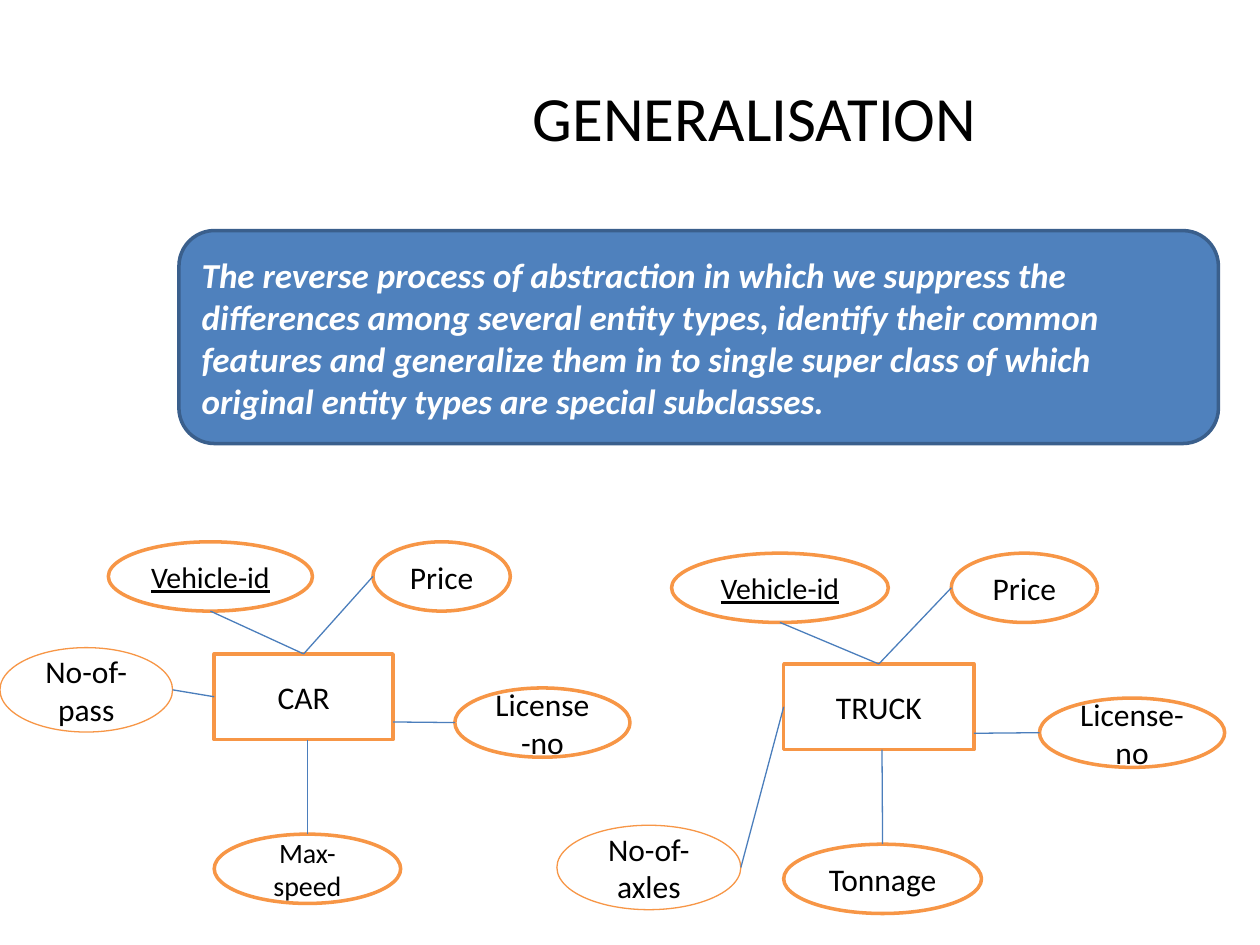
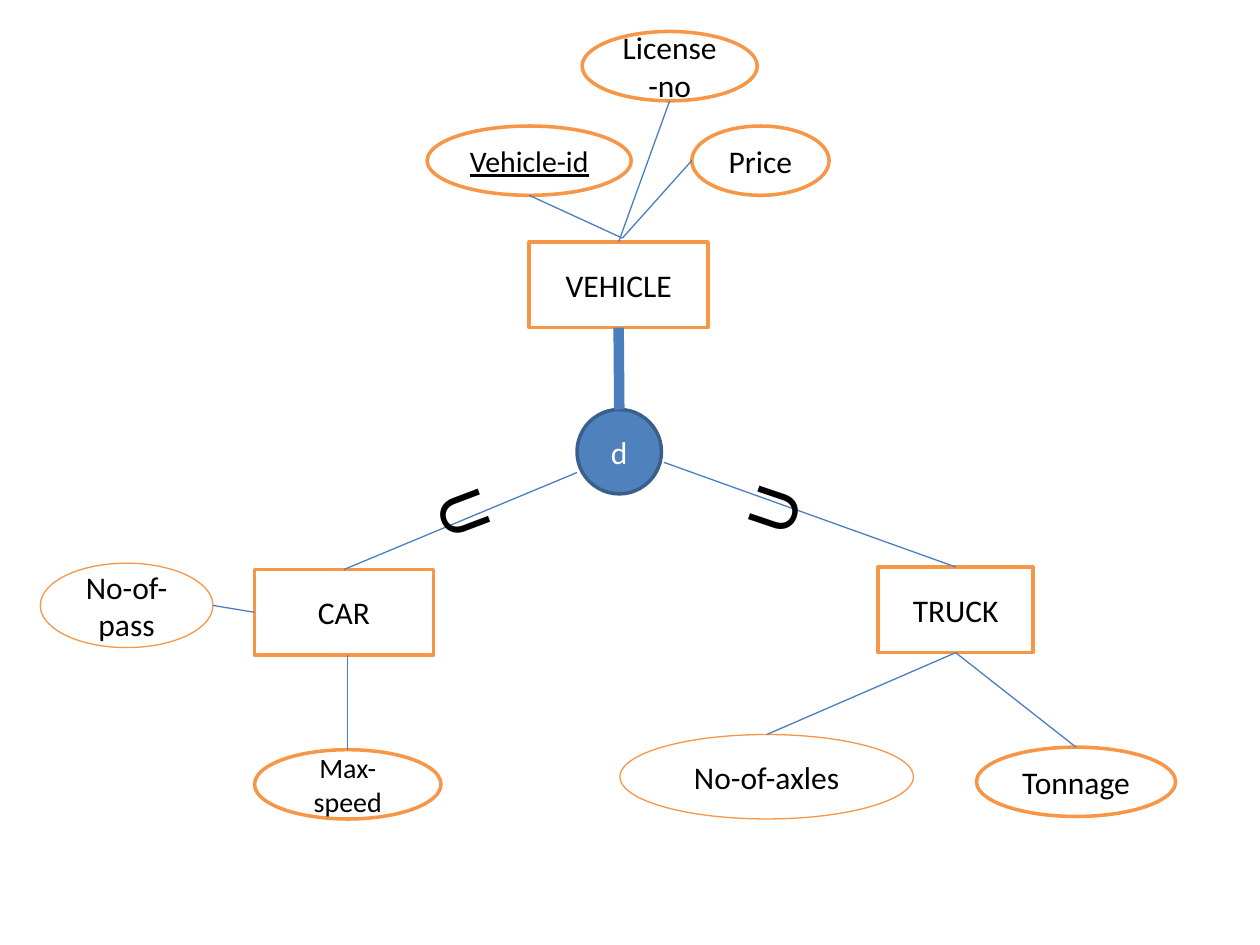
from dataclasses import dataclass, replace
from typing import Any

import pptx
import pptx.dml.color
import pptx.enum.shapes
import pptx.enum.text
import pptx.oxml
import pptx.oxml.ns
import pptx.util

Inches = pptx.util.Inches
Pt = pptx.util.Pt
Preset = pptx.enum.shapes.MSO_SHAPE
Align = pptx.enum.text.PP_ALIGN

# Shared look
FONT = "Calibri"
BLACK, WHITE = "000000", "FFFFFF"
ORANGE, BLUE, DARK_BLUE, LINK_BLUE = "F79646", "4F81BD", "3A5F8C", "4B7EBC"

# Connection sites of a rectangle
TOP, LEFT, BOTTOM, RIGHT = range(4)


@dataclass(frozen=True)
class Style:
    preset: Any
    fill: str | None
    line: str
    line_width: float
    text: str


ENTITY = Style(Preset.RECTANGLE, WHITE, ORANGE, 2, BLACK)
ATTRIBUTE = Style(Preset.OVAL, WHITE, ORANGE, 2, BLACK)
OWN_ATTRIBUTE = Style(Preset.OVAL, None, ORANGE, 0.75, BLACK)
DISJOINT = Style(Preset.OVAL, BLUE, DARK_BLUE, 2, WHITE)
DEFINITION = Style(Preset.ROUNDED_RECTANGLE, BLUE, DARK_BLUE, 2, WHITE)


@dataclass(frozen=True)
class Node:
    label: str
    style: Style
    left: float
    top: float
    width: float
    height: float
    size: float = 18
    underline: bool = False

    def side(self, site: int) -> tuple[float, float]:
        across = {LEFT: 0, RIGHT: 1}.get(site, 0.5)
        down = {TOP: 0, BOTTOM: 1}.get(site, 0.5)
        return self.left + across * self.width, self.top + down * self.height


@dataclass(frozen=True)
class Link:
    """Each end is (node label, side) or a point (x, y)."""
    start: tuple
    end: tuple
    width: float = 0.75


def rgb(colour: str) -> pptx.dml.color.RGBColor:
    return pptx.dml.color.RGBColor.from_string(colour)


def set_font(paragraph: Any, size: float, colour: str) -> None:
    paragraph.font.name = FONT
    paragraph.font.size = Pt(size)
    paragraph.font.color.rgb = rgb(colour)


def draw_node(shapes: Any, node: Node) -> Any:
    box = (node.left, node.top, node.width, node.height)
    shape = shapes.add_shape(node.style.preset, *map(Inches, box))
    shape.shadow.inherit = False
    if node.style.fill:
        shape.fill.solid()
        shape.fill.fore_color.rgb = rgb(node.style.fill)
    else:
        shape.fill.background()
    shape.line.color.rgb = rgb(node.style.line)
    shape.line.width = Pt(node.style.line_width)
    shape.text_frame.text = node.label
    paragraph = shape.text_frame.paragraphs[0]
    paragraph.alignment = Align.CENTER
    set_font(paragraph, node.size, node.style.text)
    if node.underline:
        paragraph.font.underline = True
    return shape


def draw_diagram(shapes: Any, nodes: list[Node], links: list[Link]) -> None:
    by_label = {node.label: node for node in nodes}
    drawn = {node.label: draw_node(shapes, node) for node in nodes}

    for link in links:
        ends = (link.start, link.end)
        points = [by_label[end[0]].side(end[1]) if end[0] in by_label else end
                  for end in ends]
        connector = shapes.add_connector(
            pptx.enum.shapes.MSO_CONNECTOR.STRAIGHT,
            *(Inches(value) for point in points for value in point))
        connector.line.color.rgb = rgb(LINK_BLUE)
        connector.line.width = Pt(link.width)
        connector._element.spPr.append(
            pptx.oxml.parse_xml(f"<a:effectLst {pptx.oxml.ns.nsdecls('a')}/>"))
        for end, join in zip(ends, (connector.begin_connect, connector.end_connect)):
            if end[0] in by_label and by_label[end[0]].style is ENTITY:
                join(drawn[end[0]], end[1])


def shifted(nodes: list[Node], dx: float, dy: float) -> list[Node]:
    return [replace(node, left=node.left + dx, top=node.top + dy) for node in nodes]


# Parts that both slides show
CAR_NODES = [
    Node("CAR", ENTITY, 1.7, 5.19, 1.42, 0.68),
    Node("Max-speed", ATTRIBUTE, 1.7, 6.62, 1.48, 0.55, 16),
    Node("No-of-pass", OWN_ATTRIBUTE, 0, 5.14, 1.37, 0.67),
]
COMMON_ATTRIBUTES = [
    Node("Vehicle-id", ATTRIBUTE, 0.86, 4.3, 1.62, 0.55, 17, True),
    Node("Price", ATTRIBUTE, 2.96, 4.3, 1.09, 0.55),
]


def car_links(max_speed_start: tuple[float, float]) -> list[Link]:
    return [Link(max_speed_start, ("Max-speed", TOP)),
            Link(("CAR", LEFT), ("No-of-pass", RIGHT))]


def common_links(junction: tuple) -> list[Link]:
    return [Link(junction, ("Vehicle-id", BOTTOM)), Link(junction, ("Price", LEFT))]


def build_generalisation(prs: Any) -> None:
    slide = prs.slides.add_slide(prs.slide_layouts[5])

    # Title, pushed right of centre
    title = slide.shapes.title
    title.left, title.top, title.width, title.height = map(Inches, (0.5, 0.3, 9, 1.25))
    title.text_frame.text = "GENERALISATION"
    title.text_frame.margin_left = Inches(2.08)
    title.text_frame.vertical_anchor = pptx.enum.text.MSO_ANCHOR.MIDDLE
    heading = title.text_frame.paragraphs[0]
    heading.alignment = Align.CENTER
    set_font(heading, 36, BLACK)

    # Definition
    definition = draw_node(slide.shapes, Node(
        "The reverse process of abstraction in which we suppress the differences "
        "among several entity types, identify their common features and generalize "
        "them in to single super class of which original entity types are special "
        "subclasses.", DEFINITION, 1.42, 1.83, 8.25, 1.69, 20))
    paragraph = definition.text_frame.paragraphs[0]
    paragraph.alignment = Align.LEFT
    paragraph.font.bold = paragraph.font.italic = True

    # Car
    draw_diagram(
        slide.shapes.add_group_shape().shapes,
        CAR_NODES + COMMON_ATTRIBUTES
        + [Node("License-no", ATTRIBUTE, 3.61, 5.46, 1.39, 0.55)],
        common_links(("CAR", TOP)) + car_links((2.44, 5.87))
        + [Link((3.12, 5.73), ("License-no", LEFT))])

    # Truck
    draw_diagram(
        slide.shapes.add_group_shape().shapes,
        [
            Node("TRUCK", ENTITY, 6.22, 5.27, 1.51, 0.68),
            Node("Vehicle-id", ATTRIBUTE, 5.33, 4.39, 1.72, 0.55, 17, True),
            Node("Price", ATTRIBUTE, 7.55, 4.39, 1.16, 0.55),
            Node("License-no", ATTRIBUTE, 8.25, 5.54, 1.47, 0.55),
            Node("Tonnage", ATTRIBUTE, 6.22, 6.7, 1.57, 0.55),
            Node("No-of-axles", OWN_ATTRIBUTE, 4.42, 6.55, 1.46, 0.67),
        ],
        common_links(("TRUCK", TOP)) + [
            Link((7.73, 5.82), ("License-no", LEFT)),
            Link((7, 5.95), ("Tonnage", TOP)),
            Link(("TRUCK", LEFT), ("No-of-axles", RIGHT)),
        ])


def build_superclass(prs: Any) -> None:
    slide = prs.slides.add_slide(prs.slide_layouts[6])

    # Superclass, its subclasses and their attributes
    truck_nodes = [
        Node("TRUCK", ENTITY, 6.97, 4.5, 1.23, 0.68),
        Node("Tonnage", ATTRIBUTE, 7.75, 5.93, 1.58, 0.55),
        Node("No-of-axles", OWN_ATTRIBUTE, 4.92, 5.83, 2.33, 0.67),
    ]
    vehicle_nodes = shifted(COMMON_ATTRIBUTES, 2.53, -3.3) + [
        Node("License-no", ATTRIBUTE, 4.62, 0.25, 1.39, 0.55),
        Node("VEHICLE", ENTITY, 4.2, 1.92, 1.42, 0.68),
        Node("d", DISJOINT, 4.58, 3.25, 0.67, 0.67),
    ]
    links = [
        Link(("TRUCK", BOTTOM), ("Tonnage", TOP)),
        Link(("TRUCK", BOTTOM), ("No-of-axles", TOP)),
        *car_links((2.76, 5.2)),
        *common_links((4.94, 1.89)),
        Link(("License-no", BOTTOM), ("VEHICLE", TOP)),
        Link(("VEHICLE", BOTTOM), ("d", TOP), 6),
        Link((4.58, 3.75), ("CAR", TOP)),
        Link((5.27, 3.67), ("TRUCK", TOP)),
    ]
    draw_diagram(slide.shapes,
                 truck_nodes + shifted(CAR_NODES, 0.32, -0.67) + vehicle_nodes, links)

    # Subset signs
    for left, top, rotation in ((3.42, 3.7, 69.3), (5.82, 3.62, 288.7)):
        subset = slide.shapes.add_textbox(*map(Inches, (left, top, 0.61, 0.77)))
        subset.rotation = rotation
        subset.text_frame.word_wrap = False
        subset.text_frame.auto_size = pptx.enum.text.MSO_AUTO_SIZE.SHAPE_TO_FIT_TEXT
        subset.text_frame.text = "U"
        set_font(subset.text_frame.paragraphs[0], 40, BLACK)


def main() -> None:
    prs = pptx.Presentation()
    prs.slide_width, prs.slide_height = Inches(10), Inches(7.5)
    build_generalisation(prs)
    build_superclass(prs)
    prs.save("out.pptx")


if __name__ == "__main__":
    main()
